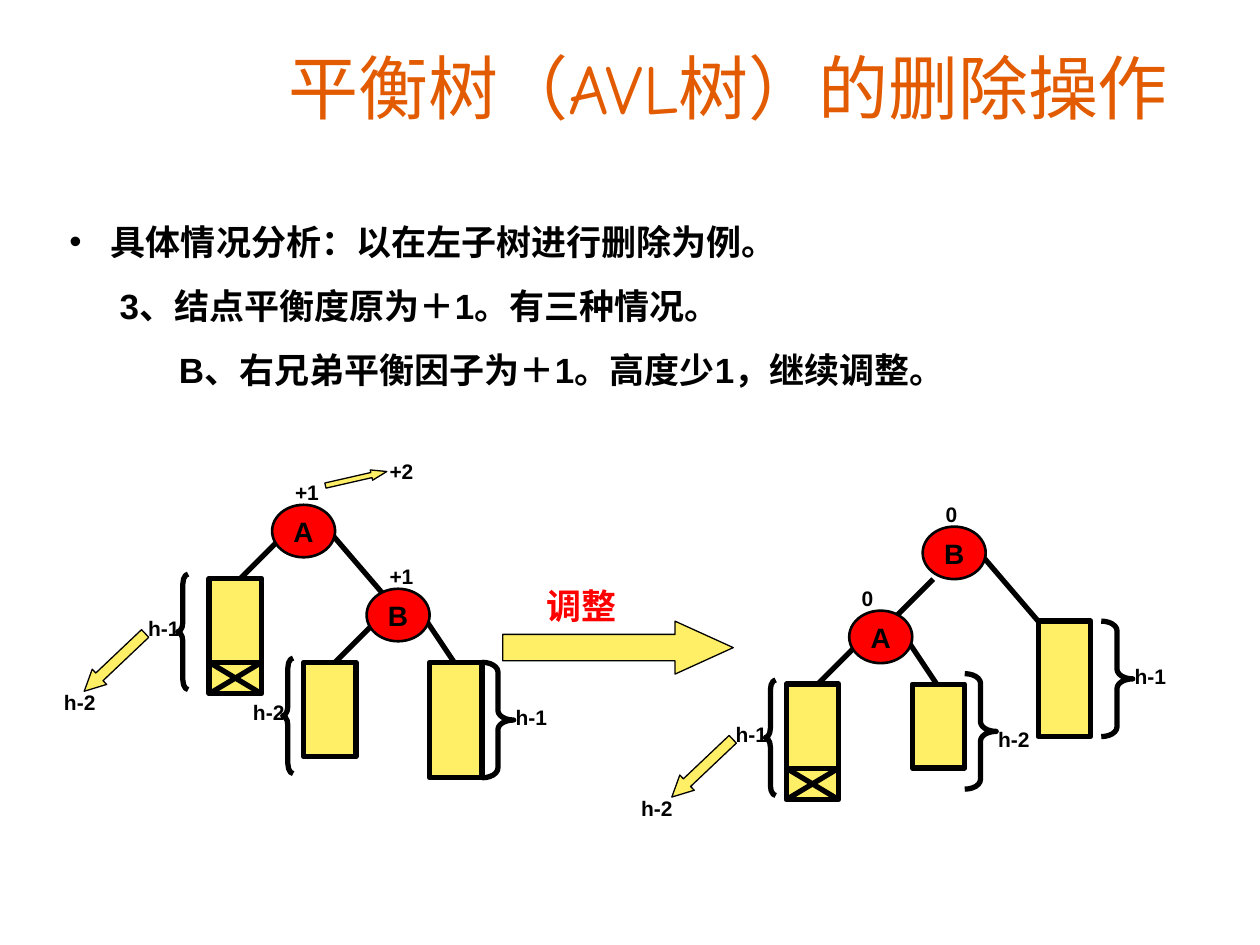
import pptx
import pptx.util
import pptx.dml.color
import pptx.enum.shapes
import pptx.enum.text
from pptx.oxml.xmlchemy import OxmlElement

SHAPE = pptx.enum.shapes.MSO_SHAPE
ANCHOR = pptx.enum.text.MSO_ANCHOR
ALIGN = pptx.enum.text.PP_ALIGN
inch, pt = pptx.util.Inches, pptx.util.Pt

UNIT = 1 / 12  # one column or row of the diagram grid, in inches
BLACK, RED, YELLOW, ORANGE = "000000", "FF0000", "FFEF66", "E25B00"


def colour(hex_string):
    return pptx.dml.color.RGBColor.from_string(hex_string)


def place(sp, left, top, width, height):
    sp.left, sp.top = inch(left), inch(top)
    sp.width, sp.height = inch(width), inch(height)


def write(p, text, size=12, color=BLACK, bold=True, font="Arial", align=ALIGN.LEFT):
    p.alignment = align
    r = p.add_run()
    r.text = text
    f = r.font
    f.name, f.size, f.bold = font, pt(size), bold
    f.color.rgb = colour(color)


def grid(box, col, row, cols, rows):
    """Turns grid columns and rows inside a box into inches."""
    return (box[0] + col * UNIT, box[1] + row * UNIT, cols * UNIT, rows * UNIT)


def add_shape(s, kind, at, fill=YELLOW, line=3, adjust=(), rotation=0):
    sp = s.shapes.add_shape(kind, *map(inch, at))
    sp.shadow.inherit = False
    if fill:
        sp.fill.solid()
        sp.fill.fore_color.rgb = colour(fill)
    else:
        sp.fill.background()
    sp.line.color.rgb = colour(BLACK)
    sp.line.width = pt(line)
    for i, value in enumerate(adjust):
        sp.adjustments[i] = value
    sp.rotation = rotation
    return sp


def add_arrow(s, at, head, rotation=0):
    add_shape(s, SHAPE.RIGHT_ARROW, at, line=0.75, adjust=(0.5, head), rotation=rotation)


def add_label(s, at, text, **fmt):
    tf = s.shapes.add_textbox(*map(inch, at)).text_frame
    tf.word_wrap = True
    write(tf.paragraphs[0], text, **fmt)


def add_edge(s, box, x1, y1, x2, y2):
    x, y, dx, dy = grid(box, x1, y1, x2 - x1, y2 - y1)
    c = s.shapes.add_connector(pptx.enum.shapes.MSO_CONNECTOR.STRAIGHT,
                               inch(x), inch(y), inch(x + dx), inch(y + dy))
    c.line.color.rgb = colour(BLACK)
    c.line.width = pt(3)
    c._element.spPr.append(OxmlElement("a:effectLst"))


def add_node(s, box, col, row, name):
    sp = add_shape(s, SHAPE.OVAL, grid(box, col, row, 6, 5), fill=RED, line=1.5)
    tf = sp.text_frame
    tf.word_wrap = False
    tf.vertical_anchor = ANCHOR.MIDDLE
    write(tf.paragraphs[0], name, size=16, align=ALIGN.CENTER)


def add_deleted_part(s, box, col, row):
    """Crosses out the three bottom rows of a left subtree."""
    top, bottom, right = row + 8, row + 11, col + 5
    add_edge(s, box, col, top, right, top)
    add_edge(s, box, right, top, col, bottom)
    add_edge(s, box, col, top, right, bottom)


def add_tree(s, box, edges, nodes, subtrees, braces, labels, arrows):
    for edge in edges:
        add_edge(s, box, *edge)
    for node in nodes:
        add_node(s, box, *node)
    for kind, col, row, cols in braces:
        add_shape(s, kind, grid(box, col, row, cols, 11), fill=None,
                  adjust=(0.92 / cols, 0.5))
    for col, row, rows in subtrees:
        add_shape(s, SHAPE.RECTANGLE, grid(box, col, row, 5, rows))
    add_deleted_part(s, box, *subtrees[0][:2])
    for col, row, text in labels:
        add_label(s, grid(box, col, row, 6, 3.6), text)
    for col, row, cols, rows, head, rotation in arrows:
        add_arrow(s, grid(box, col, row, cols, rows), head, rotation)


def add_title(s, box, text):
    sp = s.shapes.title
    place(sp, *box)
    sp.text_frame.vertical_anchor = ANCHOR.MIDDLE
    write(sp.text_frame.paragraphs[0], text, size=40, color=ORANGE, bold=False,
          font="Comic Neue", align=ALIGN.CENTER)


def add_body(s, box, items):
    sp = s.placeholders[1]
    place(sp, *box)
    tf = sp.text_frame
    tf.auto_size = pptx.enum.text.MSO_AUTO_SIZE.NONE
    tf.word_wrap = False
    for i, (margin, indent, bullet, text) in enumerate(items):
        p = tf.add_paragraph() if i else tf.paragraphs[0]
        pPr = p._p.get_or_add_pPr()
        pPr.set("marL", str(inch(margin)))
        pPr.set("indent", str(inch(indent)))
        bu = OxmlElement("a:buChar" if bullet else "a:buNone")
        if bullet:
            bu.set("char", bullet)
        pPr.append(bu)
        p.space_before = pt(12.5 if i else 0)
        write(p, text, size=20)


def main():
    prs = pptx.Presentation()
    prs.slide_width, prs.slide_height = inch(10), inch(7.5)
    s = prs.slides.add_slide(prs.slide_layouts[1])

    add_title(s, (1.56, 0.32, 8.44, 0.74), "平衡树（AVL树）的删除操作")
    add_body(s, (0.2, 1.7, 7.73, 1.45), [
        (0.58, -0.33, "•", "具体情况分析：以在左子树进行删除为例。"),
        (0.65, 0, None, "3、结点平衡度原为＋1。有三种情况。"),
        (1.12, 0, None, "B、右兄弟平衡因子为＋1。高度少1，继续调整。"),
    ])

    # Tree before the adjustment
    left, right = SHAPE.LEFT_BRACE, SHAPE.RIGHT_BRACE
    add_tree(
        s, (0.41, 3.59),
        edges=[(23, 7, 18, 12), (26, 7, 32, 14), (32, 15, 27, 20), (35, 15, 39, 21)],
        nodes=[(21, 5, "A"), (30, 13, "B")],
        subtrees=[(15, 12, 11), (24, 20, 9), (36, 20, 11)],
        braces=[(left, 12, 11.6, 1), (left, 22, 19.6, 1), (right, 41, 20, 3)],
        labels=[(22, 2, "+1"), (31, 0, "+2"), (31, 10, "+1"), (8, 15, "h-1"),
                (0, 22, "h-2"), (18, 23, "h-2"), (43, 23.4, "h-1")],
        arrows=[(2, 19, 8, 2, 1, 136.5), (26, 2, 6, 1, 1.5, 347.1)])

    # Adjustment step
    add_arrow(s, (3.99, 4.93, 1.83, 0.42), 1.1)
    add_label(s, (4.24, 4.59, 1.33, 0.44), "调整", size=20, color=RED)

    # Tree after the adjustment
    add_tree(
        s, (4.99, 3.93),
        edges=[(29, 8, 25, 12), (33, 5, 39, 12), (23, 13, 18, 18), (26, 13, 30, 19)],
        nodes=[(28, 3, "B"), (21, 11, "A")],
        subtrees=[(15, 18, 11), (27, 18, 8), (39, 12, 11)],
        braces=[(left, 13, 17.6, 1), (right, 32, 17, 3), (right, 45, 12, 3)],
        labels=[(29, 0, "0"), (21, 8, "0"), (9, 21, "h-1"), (0, 28, "h-2"),
                (34, 21.4, "h-2"), (47, 15.4, "h-1")],
        arrows=[(3, 25, 8, 2, 1, 136.5)])

    prs.save("out.pptx")


if __name__ == "__main__":
    main()
